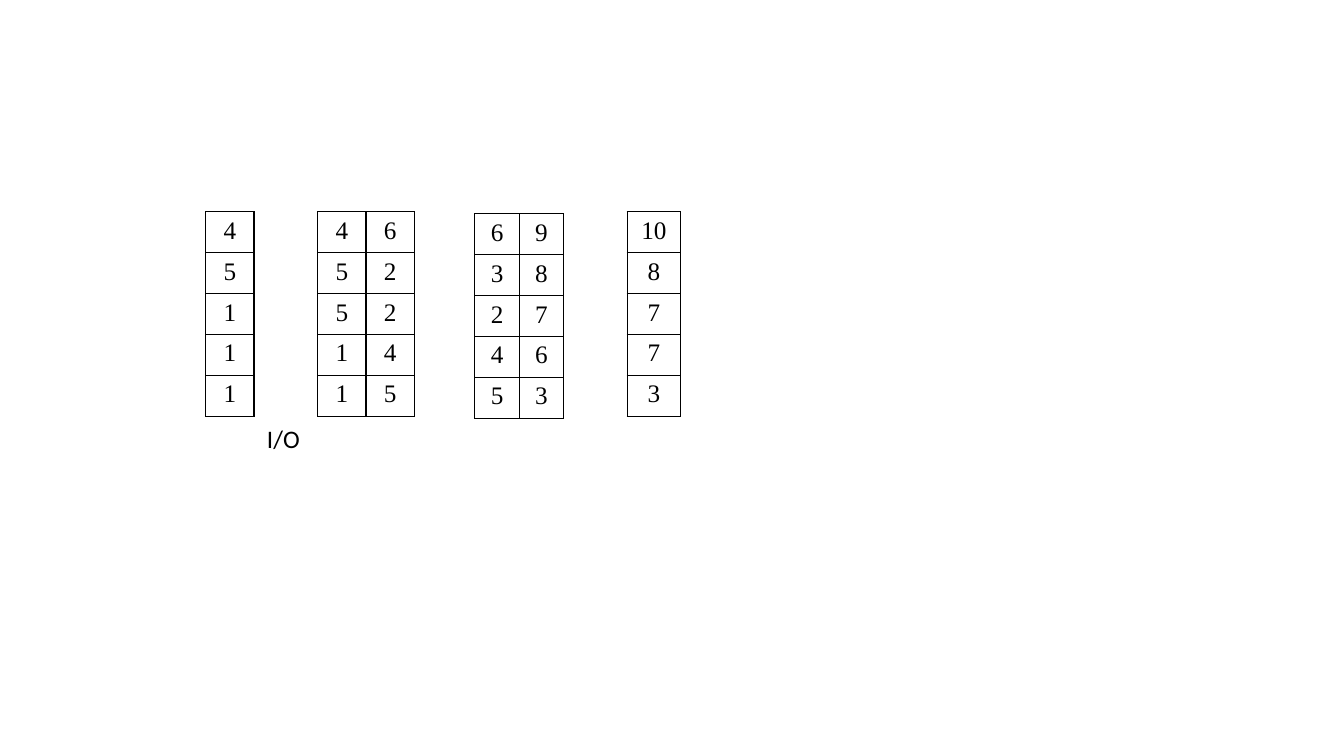
from lxml import etree
from pptx import Presentation
from pptx.dml.color import RGBColor
from pptx.enum.text import MSO_AUTO_SIZE, PP_ALIGN
from pptx.oxml.ns import qn
from pptx.util import Inches, Pt

CENTER = PP_ALIGN.CENTER
GROW = MSO_AUTO_SIZE.SHAPE_TO_FIT_TEXT
COLORS = {"ink": "000000"}
SIZE = 18
ROW = 0.406
EDGES = ("a:lnL", "a:lnR", "a:lnT", "a:lnB")

GRIDS = [
    (2.04, 2.1, 0.48, ["4", "5", "1", "1", "1"]),
    (3.15, 2.1, 0.48, ["46", "52", "52", "14", "15"]),
    (4.71, 2.12, 0.44, ["69", "38", "27", "46", "53"]),
    (6.22, 2.1, 0.53, [["10"], "8", "7", "7", "3"]),
]
LABEL = ("I/O", 2.55, 4.15, 0.53, 0.4)


def style(frame, font):
    for run in frame.paragraphs[0].runs:
        run.font.name = font
        run.font.size = Pt(SIZE)
        run.font.bold = False
        run.font.color.rgb = RGBColor.from_string(COLORS["ink"])


def border(cell):
    props = cell._tc.get_or_add_tcPr()
    for edge in EDGES:
        line = etree.SubElement(props, qn(edge), w=str(Pt(1)))
        fill = etree.SubElement(line, qn("a:solidFill"))
        etree.SubElement(fill, qn("a:srgbClr"), val=COLORS["ink"])


def add_grid(slide, left, top, width, rows):
    count = len(rows[0])
    table = slide.shapes.add_table(
        len(rows), count, Inches(left), Inches(top),
        Inches(width * count), Inches(ROW * len(rows))).table
    table.first_row = False
    table.horz_banding = False
    for r, row in enumerate(rows):
        for c, value in enumerate(row):
            cell = table.cell(r, c)
            cell.text_frame.text = value
            cell.text_frame.paragraphs[0].alignment = CENTER
            style(cell.text_frame, "Times New Roman")
            border(cell)
            cell.fill.background()


deck = Presentation()
deck.slide_width, deck.slide_height = Inches(13.33), Inches(7.5)
slide = deck.slides.add_slide(deck.slide_layouts[6])

for grid in GRIDS:
    add_grid(slide, *grid)

text, *place = LABEL
frame = slide.shapes.add_textbox(*map(Inches, place)).text_frame
frame.text = text
frame.word_wrap = False
frame.auto_size = GROW
style(frame, "Calibri")

deck.save("out.pptx")
